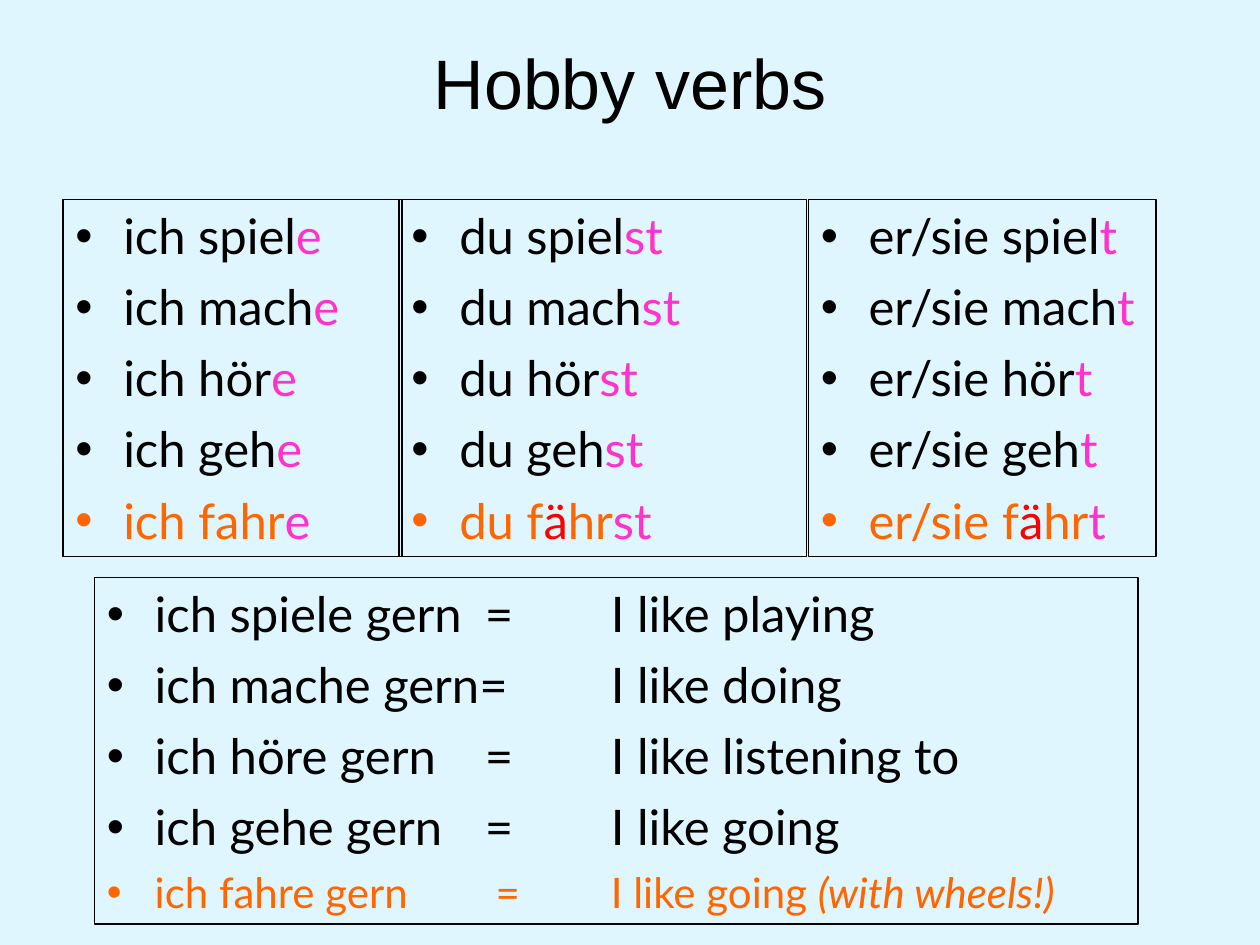
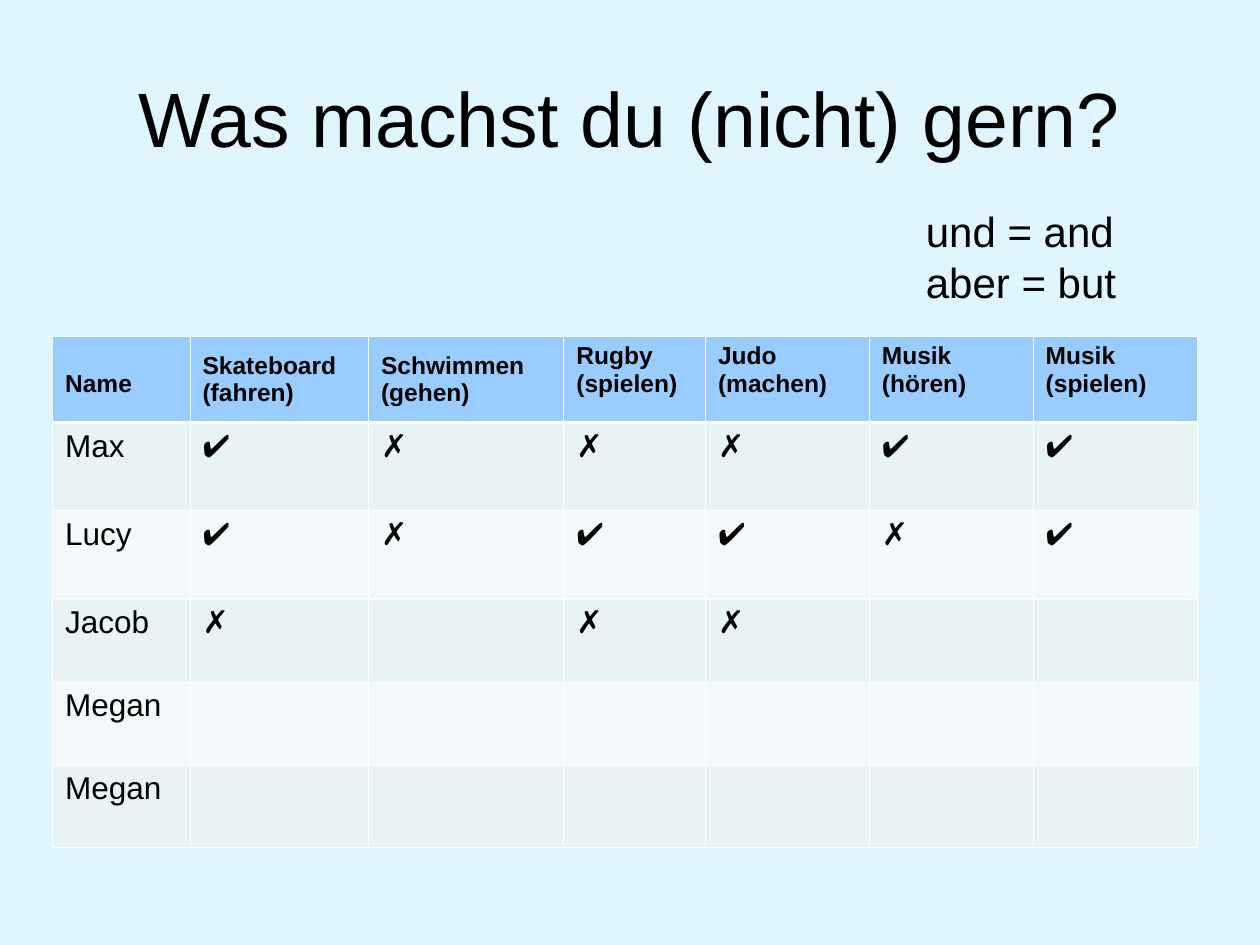
"""Build two German lesson slides: hobby verbs and a likes-and-dislikes table."""
from typing import NamedTuple

from lxml import etree
from pptx import Presentation
from pptx.dml.color import RGBColor
from pptx.enum.shapes import MSO_SHAPE
from pptx.enum.text import MSO_ANCHOR, PP_ALIGN
from pptx.oxml.ns import qn
from pptx.util import Inches, Pt

RECTANGLE = MSO_SHAPE.RECTANGLE
TOP, MIDDLE = MSO_ANCHOR.TOP, MSO_ANCHOR.MIDDLE
LEFT, CENTER = PP_ALIGN.LEFT, PP_ALIGN.CENTER

WIDTH, HEIGHT = Inches(10), Inches(7.5)
COLUMN, ROW = WIDTH / 120, HEIGHT / 90

SKY, BLACK, WHITE = "DFF6FF", "000000", "FFFFFF"
PINK, ORANGE, RED = "FF33CC", "FF6600", "FF0000"
HEADER_BLUE, BANDS = "99CCFF", ("E7F3F4", "F3F9FA")
TITLE_FONT, VERB_FONT = "Arial", "Lato"
INDENT = Inches(0.38)
THIN, THICK = Pt(0.45), Pt(1.47)


class Box(NamedTuple):
    left: float
    top: float
    width: float
    height: float

    def lengths(self) -> tuple[int, int, int, int]:
        return (round(self.left * COLUMN), round(self.top * ROW),
                round(self.width * COLUMN), round(self.height * ROW))


class Piece(NamedTuple):
    text: str
    color: str = BLACK
    italic: bool = False


class Line(NamedTuple):
    pieces: list[Piece]
    size: int = 28
    space: int = 7


class Conjugation(NamedTuple):
    box: Box
    pronoun: str
    ending: str
    fahren_stem: str


STEMS = ("spiel", "mach", "hör", "geh")
CONJUGATIONS = (
    Conjugation(Box(6, 19, 32.3, 34), "ich", "e", "fahr"),
    Conjugation(Box(38, 19, 38.8, 34), "du", "st", "fähr"),
    Conjugation(Box(77, 19, 33.1, 34), "er/sie", "t", "fähr"),
)
LIKES_BOX = Box(9, 55, 99.4, 33)
LIKES = (
    "ich spiele gern\t=\tI like playing",
    "ich mache gern=\tI like doing",
    "ich höre gern\t=\tI like listening to",
    "ich gehe gern\t=\tI like going",
)

TABLE_BOX = Box(5, 32, 109, 48.75)
TABLE_COLUMNS = (13.1, 17, 18.6, 13.5, 15.6, 15.6, 15.6)
TABLE_ROWS = (8.25, 8.4, 8.4, 7.9, 7.9, 7.9)
HEADERS = ("Name", "Skateboard\n(fahren)", "Schwimmen\n(gehen)", "Rugby\n(spielen)",
           "Judo\n(machen)", "Musik (hören)", "Musik (spielen)")
MIDDLE_HEADERS = (1, 2)
ANSWERS = (
    ("Max", "✔", "✗", "✗", "✗", "✔", "✔"),
    ("Lucy", "✔", "✗", "✔", "✔", "✗", "✔"),
    ("Jacob", "✗", "", "✗", "✗", "", ""),
    ("Megan", "", "", "", "", "", ""),
    ("Megan", "", "", "", "", "", ""),
)


def rgb(color: str) -> RGBColor:
    return RGBColor.from_string(color)


def add_run(paragraph, piece: Piece, size: int, font: str, bold: bool = False) -> None:
    run = paragraph.add_run()
    run.text = piece.text
    run.font.size = Pt(size)
    run.font.name = font
    run.font.bold = bold
    run.font.italic = piece.italic
    run.font.color.rgb = rgb(piece.color)


def add_paragraph(text_frame, index: int):
    return text_frame.add_paragraph() if index else text_frame.paragraphs[0]


def write_plain(text_frame, text: str, size: int, bold: bool = False, align=LEFT) -> None:
    text_frame.word_wrap = True
    for index, line in enumerate(text.split("\n")):
        paragraph = add_paragraph(text_frame, index)
        paragraph.alignment = align
        add_run(paragraph, Piece(line), size, TITLE_FONT, bold)


def add_solid(parent, color: str) -> None:
    fill = etree.SubElement(parent, qn("a:solidFill"))
    etree.SubElement(fill, qn("a:srgbClr"), val=color)


def add_bullet(paragraph, color: str) -> None:
    properties = paragraph._p.get_or_add_pPr()
    properties.set("marL", str(INDENT))
    properties.set("indent", str(-INDENT))
    bullet_color = etree.SubElement(properties, qn("a:buClr"))
    etree.SubElement(bullet_color, qn("a:srgbClr"), val=color)
    etree.SubElement(properties, qn("a:buFont"), typeface=TITLE_FONT)
    etree.SubElement(properties, qn("a:buChar"), char="•")
    tabs = etree.SubElement(properties, qn("a:tabLst"))
    for inches in (3, 4):
        etree.SubElement(tabs, qn("a:tab"), pos=str(Inches(inches)), algn="l")


def add_slide(presentation, title: str, size: int, title_box: Box):
    slide = presentation.slides.add_slide(presentation.slide_layouts[6])
    slide.background.fill.solid()
    slide.background.fill.fore_color.rgb = rgb(SKY)
    text_frame = slide.shapes.add_textbox(*title_box.lengths()).text_frame
    text_frame.vertical_anchor = MIDDLE
    write_plain(text_frame, title, size, align=CENTER)
    return slide


def add_bullet_box(slide, box: Box, lines: list[Line]) -> None:
    shape = slide.shapes.add_shape(RECTANGLE, *box.lengths())
    shape.shadow.inherit = False
    shape.fill.background()
    shape.line.color.rgb = rgb(BLACK)
    shape.line.width = Pt(0.75)
    text_frame = shape.text_frame
    text_frame.word_wrap = True
    text_frame.vertical_anchor = TOP
    for index, line in enumerate(lines):
        paragraph = add_paragraph(text_frame, index)
        add_bullet(paragraph, line.pieces[0].color)
        paragraph.alignment = LEFT
        paragraph.space_before = Pt(line.space if index else 0)
        for piece in line.pieces:
            add_run(paragraph, piece, line.size, VERB_FONT)


def conjugate(verb: Conjugation) -> list[Line]:
    ending = Piece(verb.ending, PINK)
    lines = [Line([Piece(f"{verb.pronoun} {stem}"), ending]) for stem in STEMS]
    start, umlaut, rest = verb.fahren_stem.partition("ä")
    fahren = [Piece(f"{verb.pronoun} {start}", ORANGE)]
    if umlaut:
        fahren += [Piece(umlaut, RED), Piece(rest, ORANGE)]
    return lines + [Line(fahren + [ending])]


def style_cell(cell, fill: str, top: int, bottom: int) -> None:
    properties = cell._tc.get_or_add_tcPr()
    for side, width in (("lnL", THIN), ("lnR", THIN), ("lnT", top), ("lnB", bottom)):
        add_solid(etree.SubElement(properties, qn(f"a:{side}"), w=str(width)), WHITE)
    cell.fill.solid()
    cell.fill.fore_color.rgb = rgb(fill)


def add_answer_table(slide) -> None:
    table = slide.shapes.add_table(len(TABLE_ROWS), len(TABLE_COLUMNS),
                                   *TABLE_BOX.lengths()).table
    for column, width in zip(table.columns, TABLE_COLUMNS):
        column.width = round(width * COLUMN)
    for row, height in zip(table.rows, TABLE_ROWS):
        row.height = round(height * ROW)
    for row_index, texts in enumerate((HEADERS, *ANSWERS)):
        header = row_index == 0
        fill = HEADER_BLUE if header else BANDS[(row_index - 1) % 2]
        top = THICK if row_index == 1 else THIN
        bottom = THICK if header else THIN
        for column_index, text in enumerate(texts):
            cell = table.cell(row_index, column_index)
            style_cell(cell, fill, top, bottom)
            if text:
                write_plain(cell.text_frame, text, 14 if header else 18, header)
    for column_index in MIDDLE_HEADERS:
        table.cell(0, column_index).vertical_anchor = MIDDLE
    table.cell(0, 0).margin_top = Inches(0.27)


def build_verbs(presentation) -> None:
    slide = add_slide(presentation, "Hobby verbs", 40, Box(6, 3.6, 108, 8.3))
    for verb in CONJUGATIONS:
        add_bullet_box(slide, verb.box, conjugate(verb))
    fahren = Line([Piece("ich fahre gern\t = \tI like going ", ORANGE),
                   Piece("(with wheels!)", ORANGE, italic=True)], size=24, space=6)
    add_bullet_box(slide, LIKES_BOX, [Line([Piece(text)]) for text in LIKES] + [fahren])


def build_answers(presentation) -> None:
    slide = add_slide(presentation, "Was machst du (nicht) gern?", 44, Box(6, 3.6, 108, 15))
    add_answer_table(slide)
    conjunctions = slide.shapes.add_textbox(*Box(87, 19, 25, 10.8).lengths())
    write_plain(conjunctions.text_frame, "und = and\naber = but", 24)


def main() -> None:
    presentation = Presentation()
    presentation.slide_width, presentation.slide_height = WIDTH, HEIGHT
    build_verbs(presentation)
    build_answers(presentation)
    presentation.save("out.pptx")


if __name__ == "__main__":
    main()
